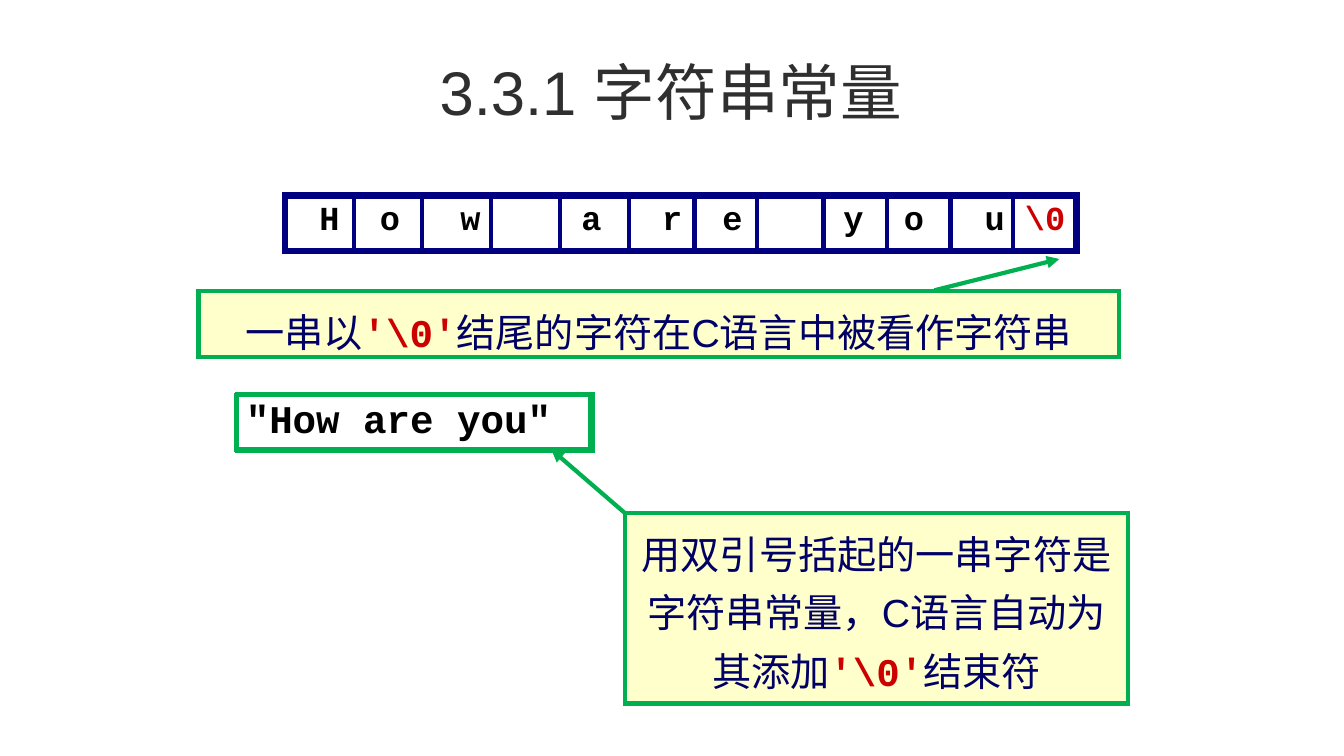
"""Build the slide on C string constants."""
from dataclasses import dataclass
from typing import Optional

from lxml.etree import SubElement
from pptx import Presentation
from pptx.dml.color import RGBColor
from pptx.enum.shapes import MSO_CONNECTOR as Link, MSO_SHAPE as Form
from pptx.enum.text import MSO_ANCHOR as Anchor, PP_ALIGN as Align
from pptx.oxml.ns import qn
from pptx.util import Pt

GREEN, NAVY, CREAM = "00B050", "000080", "FFFFCC"
HAN, SANS, MONO = "Noto Sans CJK SC", "Arial", "Courier New"
CHAR = 14.4


@dataclass
class Span:
    text: str
    face: str = HAN
    hue: str = "000066"
    bold: bool = False


@dataclass
class Text:
    spans: list[Span]
    size: float
    align: Align = Align.CENTER
    pitch: Optional[Pt | float] = None
    anchor: Anchor = Anchor.TOP
    tabs: tuple[int, ...] = ()


@dataclass
class Box:
    left: float
    top: float
    width: float
    height: float
    fill: Optional[str] = None
    line: Optional[str] = None
    thick: float = 3
    text: Optional[Text] = None


@dataclass
class Line:
    x1: float
    y1: float
    x2: float
    y2: float
    hue: str = GREEN
    arrow: bool = True


def paint(hue: str) -> RGBColor:
    """Turn a hex string into a colour."""
    return RGBColor.from_string(hue)


def write(frame, text: Text) -> None:
    """Fill a text frame with one paragraph."""
    frame.word_wrap = True
    frame.vertical_anchor = text.anchor
    para = frame.paragraphs[0]
    if text.tabs:
        stops = SubElement(para._p.get_or_add_pPr(), qn("a:tabLst"))
        for tab in text.tabs:
            SubElement(stops, qn("a:tab"), pos=str(Pt(tab * CHAR)), algn="l")
    para.alignment = text.align
    if text.pitch:
        para.line_spacing = text.pitch
    para.font.size = Pt(text.size)
    runs = [para.add_run() for _ in text.spans]
    for run, span in zip(runs, text.spans):
        run.text = span.text
    for key in ("face", "hue", "bold"):
        vals = [getattr(span, key) for span in text.spans]
        same = len(set(vals)) == 1
        fonts = [para.font] if same else [run.font for run in runs]
        for font, val in zip(fonts, vals):
            if key == "face":
                font.name = val
            elif key == "hue":
                font.color.rgb = paint(val)
            else:
                font.bold = val
    for latin in list(para._p.iter(qn("a:latin"))):
        east = SubElement(latin.getparent(), qn("a:ea"), typeface=HAN)
        latin.addnext(east)


def draw_box(shapes, box: Box) -> None:
    """Draw a text box or a framed rectangle."""
    area = [Pt(n) for n in (box.left, box.top, box.width, box.height)]
    if box.line:
        shape = shapes.add_shape(Form.RECTANGLE, *area)
        shape.shadow.inherit = False
        shape.line.color.rgb = paint(box.line)
        shape.line.width = Pt(box.thick)
        SubElement(shape.line._get_or_add_ln(), qn("a:miter"), lim="800000")
        if box.fill:
            shape.fill.solid()
            shape.fill.fore_color.rgb = paint(box.fill)
        else:
            shape.fill.background()
    else:
        shape = shapes.add_textbox(*area)
    if box.text:
        write(shape.text_frame, box.text)


def draw_line(shapes, line: Line) -> None:
    """Draw a straight line, with an arrowhead if asked."""
    ends = [Pt(n) for n in (line.x1, line.y1, line.x2, line.y2)]
    link = shapes.add_connector(Link.STRAIGHT, *ends)
    link.line.color.rgb = paint(line.hue)
    link.line.width = Pt(3)
    if line.arrow:
        SubElement(link.line._get_or_add_ln(), qn("a:tailEnd"), type="triangle")
    SubElement(link._element.spPr, qn("a:effectLst"))


NUL = Span("'\\0'", MONO, "CC0000", True)
C = Span("C", SANS)
TITLE = Text([Span("3.3.1 字符串常量", SANS, "2F2F2F")], 44, anchor=Anchor.MIDDLE)
QUOTE = Text([Span('"How are you"', MONO, "000000", True)], 28, Align.LEFT, 0.9)
CELLS = Text([Span("\t" + "\t".join("Howareyou") + "\t", MONO, "000000", True),
              Span("\\0", MONO, "CC0000", True)], 24, Align.LEFT, 0.9,
             tabs=(1, 4, 8, 14, 18, 21, 27, 30, 34, 36))
NOTE = Text([Span("用双引号括起的一串字符是字符串常量，"), C,
             Span("语言自动为其添加"), NUL, Span("结束符")], 28, pitch=Pt(42))
RULE = Text([Span("一串以"), NUL, Span("结尾的字符在"), C,
             Span("语言中被看作字符串")], 28, pitch=Pt(42))
TOP, TALL = 139.7, 39.6
CUTS = (252.7, 301.7, 350.6, 400.3, 449.3, 496.1, 540.7, 588.2, 633.6, 679, 723.6)

ITEMS = [
    Box(128.2, 20.2, 702, 90, text=TITLE),
    Line(446.4, 366.5, 393.8, 321.1),
    Box(446.4, 366.5, 359.3, 136.1, CREAM, GREEN, text=NOTE),
    Box(169.2, 281.5, 254.2, 40.3, line=GREEN),
    Box(168.5, 282.2, 253.4, 38.9, line=GREEN, text=QUOTE),
    Box(203.8, TOP, 565.2, TALL, line=NAVY, thick=4.5),
    *[Line(cut, TOP, cut, TOP + TALL, NAVY, False) for cut in CUTS],
    Box(206.6, 140.4, 574.6, 33.8, text=CELLS),
    Line(667.4, 207.4, 756.7, 185),
    Box(141.8, 208.1, 657.4, 46.8, CREAM, GREEN, text=RULE),
]


def main() -> None:
    """Build and save the deck."""
    deck = Presentation()
    deck.slide_width, deck.slide_height = Pt(960), Pt(540)
    shapes = deck.slides.add_slide(deck.slide_layouts[6]).shapes
    for item in ITEMS:
        if isinstance(item, Box):
            draw_box(shapes, item)
        else:
            draw_line(shapes, item)
    deck.save("out.pptx")


if __name__ == "__main__":
    main()
